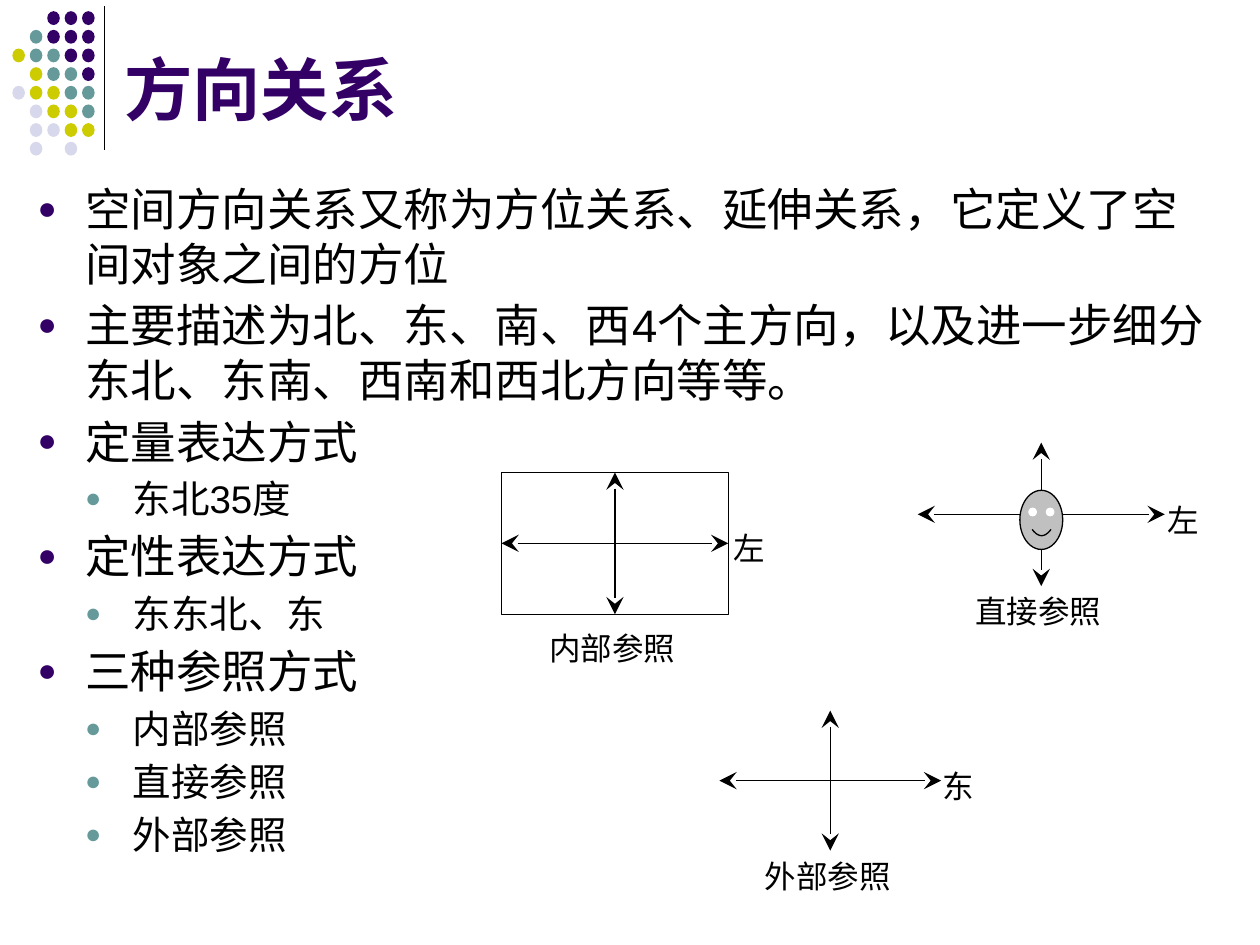
"""Builds the slide on directional relations and their three reference frames."""
from lxml.etree import SubElement
from pptx import Presentation
from pptx.dml.color import RGBColor
from pptx.enum.shapes import MSO_CONNECTOR, MSO_SHAPE
from pptx.enum.text import MSO_ANCHOR, PP_ALIGN
from pptx.oxml.ns import qn
from pptx.util import Pt

COLORS = {"purple": "330066", "teal": "669999", "olive": "CCCC00",
          "lavender": "D8D8EC", "black": "000000", "white": "FFFFFF", "gray": "C0C0C0"}

TITLE = "方向关系"
OUTLINE = [
    (0, "空间方向关系又称为方位关系、延伸关系，它定义了空间对象之间的方位"),
    (0, "主要描述为北、东、南、西4个主方向，以及进一步细分东北、东南、西南和西北方向等等。"),
    (0, "定量表达方式"),
    (1, "东北35度"),
    (0, "定性表达方式"),
    (1, "东东北、东"),
    (0, "三种参照方式"),
    (1, "内部参照"),
    (1, "直接参照"),
    (1, "外部参照"),
]
LEVELS = [(26, "purple"), (22, "teal")]
INDENT = 27.2

DOT_ROWS = ["..PPP", ".TPPP", "OTTPP", ".OTTP", "LOOTT", ".LOOT", ".LLOO", ".L.L."]
DOT_COLORS = {"P": "purple", "T": "teal", "O": "olive", "L": "lavender"}

# Each frame: caption, direction, cross (left, top, width, height), caption and direction box origins
FRAMES = {
    "inner": ("内部参照", "左", (286.6, 270, 129.6, 81), (306.7, 355.7), (411.8, 298.8)),
    "direct": ("直接参照", "左", (524.4, 252.9, 141.2, 82), (550.1, 334.8), (660.2, 283)),
    "outer": ("外部参照", "东", (411.1, 406.1, 126.7, 80), (429.8, 486), (531.4, 434.9)),
}
FACE = (582.8, 280.2, 24.5, 33.8)
EYES = [(587.6, 290.1), (597.6, 290.1)]
EYE_SIZE = 5
SMILE = (589.8, 302.5, 10.8, 3.6)

prs = Presentation()
prs.slide_width, prs.slide_height = Pt(720), Pt(540)
slide = prs.slides.add_slide(prs.slide_layouts[6])
shapes = slide.shapes


def rgb(name):
    return RGBColor.from_string(COLORS[name])


def style(shape, fill=None, line=None):
    shape.shadow.inherit = False
    if fill:
        shape.fill.solid()
        shape.fill.fore_color.rgb = rgb(fill)
    else:
        shape.fill.background()
    if line:
        shape.line.color.rgb = rgb(line)
        shape.line.width = Pt(0.75)
    else:
        shape.line.fill.background()
    return shape


def add_preset(preset, box, fill=None, line=None):
    return style(shapes.add_shape(preset, *map(Pt, box)), fill, line)


def add_line(x1, y1, x2, y2, arrows=True):
    line = shapes.add_connector(MSO_CONNECTOR.STRAIGHT, Pt(x1), Pt(y1), Pt(x2), Pt(y2))
    line.line.color.rgb = rgb("black")
    line.line.width = Pt(0.75)
    if arrows:
        for end in ("a:headEnd", "a:tailEnd"):
            SubElement(line.line._get_or_add_ln(), qn(end), type="stealth", w="lg", len="lg")
    SubElement(line._element.spPr, qn("a:effectLst"))
    return line


def set_font(paragraph, name, size, color, bold=False):
    font = paragraph.font
    font.name, font.size, font.bold = name, Pt(size), bold
    font.color.rgb = rgb(color)


def add_label(text, left, top, width):
    frame = shapes.add_textbox(Pt(left), Pt(top), Pt(width), Pt(28.8)).text_frame
    frame.word_wrap = False
    label = frame.paragraphs[0]
    label.text = text
    label.alignment = PP_ALIGN.CENTER
    set_font(label, "Karla", 18, "black")


def add_bullet(paragraph, level, color):
    props = paragraph._p.get_or_add_pPr()
    props.set("marL", str(Pt(INDENT * (level + 1))))
    props.set("indent", str(-Pt(INDENT)))
    SubElement(SubElement(props, qn("a:buClr")), qn("a:srgbClr"), val=COLORS[color])
    SubElement(props, qn("a:buSzPct"), val="70000")
    SubElement(props, qn("a:buFont"), typeface="Arial")
    SubElement(props, qn("a:buChar"), char="●")


add_line(59.8, 3.6, 59.8, 85.7, arrows=False)
for row, dots in enumerate(DOT_ROWS):
    for column, dot in enumerate(dots):
        if dot in DOT_COLORS:
            add_preset(MSO_SHAPE.OVAL, (7.1 + 9.95 * column, 6.4 + 10.66 * row, 7.2, 7.9),
                       DOT_COLORS[dot])

title_frame = shapes.add_textbox(Pt(64.1), Pt(9.4), Pt(607.7), Pt(67.7)).text_frame
title_frame.word_wrap = True
title_frame.vertical_anchor = MSO_ANCHOR.BOTTOM
title_frame.text = TITLE
set_font(title_frame.paragraphs[0], "Arial", 39, "purple", bold=True)

outline_frame = shapes.add_textbox(Pt(14.4), Pt(100.1), Pt(691.9), Pt(425.5)).text_frame
outline_frame.word_wrap = True
for index, (level, text) in enumerate(OUTLINE):
    item = outline_frame.add_paragraph() if index else outline_frame.paragraphs[0]
    size, bullet_color = LEVELS[level]
    item.text, item.level = text, level
    item.space_before = Pt(4)
    add_bullet(item, level, bullet_color)
    set_font(item, "Arial", size, "black")

for kind, (caption, direction, cross, caption_at, direction_at) in FRAMES.items():
    left, top, width, height = cross
    center, middle = left + width / 2, top + height / 2
    if kind == "inner":
        region = add_preset(MSO_SHAPE.RECTANGLE, cross, line="black")
    across = add_line(left, middle, left + width, middle)
    down = add_line(center, top, center, top + height)
    if kind == "inner":
        for arrow, start, end in ((across, 1, 3), (down, 0, 2)):
            arrow.begin_connect(region, start)
            arrow.end_connect(region, end)
    add_label(caption, *caption_at, 86.4)
    add_label(direction, *direction_at, 32.4)

add_preset(MSO_SHAPE.OVAL, FACE, "gray", "black")
for eye in EYES:
    add_preset(MSO_SHAPE.OVAL, (*eye, EYE_SIZE, EYE_SIZE), "white")
left, top, width, depth = SMILE
steps = [step / 6 for step in range(-6, 7)]
curve = [(Pt(left + width * (1 + s) / 2), Pt(top + depth * (1 - s * s))) for s in steps]
smile = shapes.build_freeform(*curve[0])
smile.add_line_segments(curve[1:], close=False)
style(smile.convert_to_shape(), line="black")

prs.save("out.pptx")
